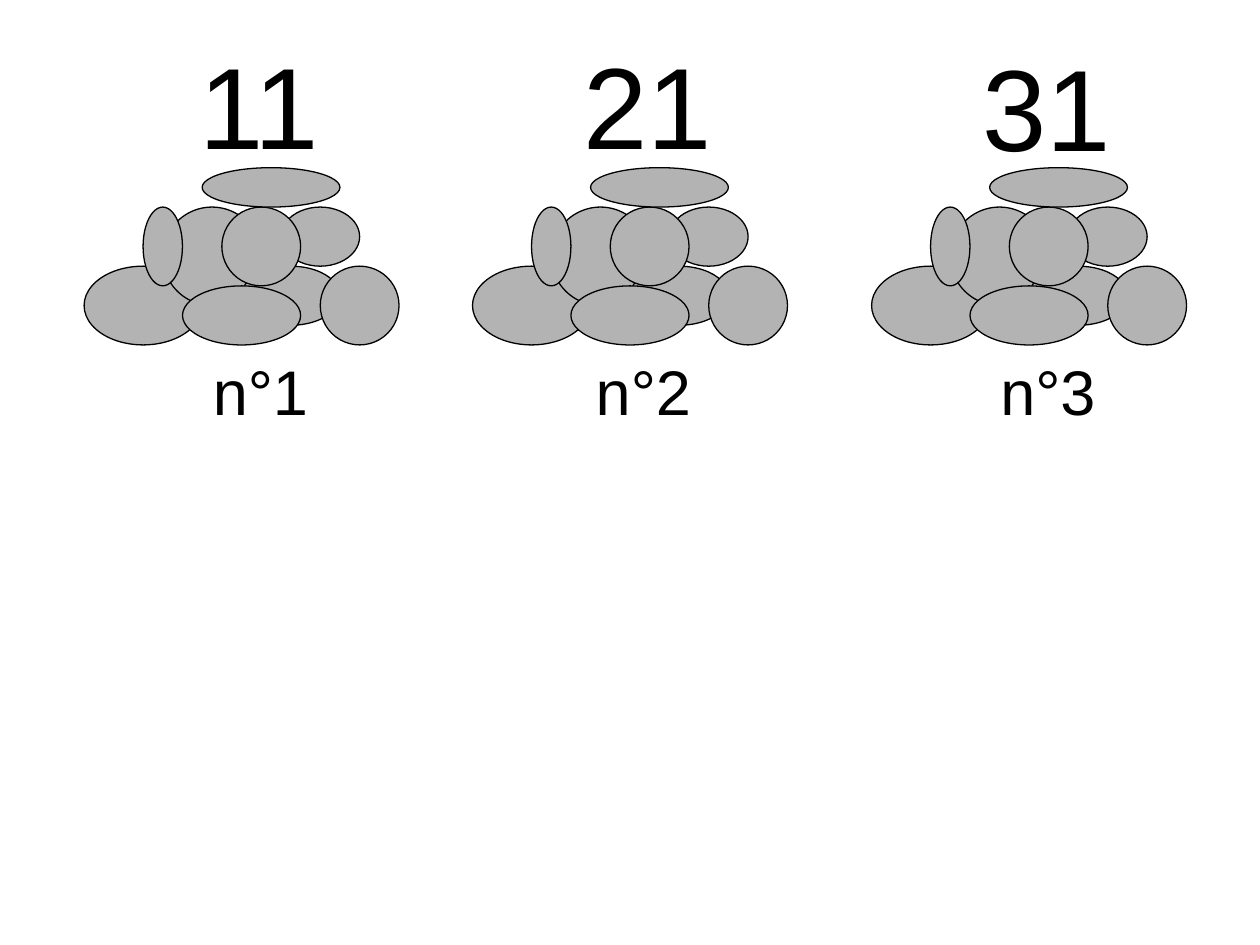
import pptx
import pptx.dml.color
import pptx.enum.shapes
import pptx.enum.text
import pptx.util

COLORS = {"stone": "B3B3B3", "ink": "000000"}
WIDTH, HEIGHT = pptx.util.Inches(10), pptx.util.Inches(7.5)
COLUMNS = 64
CELL = WIDTH / COLUMNS
PILE_ROW = 8.52
LABEL_ROW = 17.6

STONES = [
    (0, 5, 6, 4),
    (4, 2, 5, 5),
    (8, 5, 5, 3),
    (5, 6, 6, 3),
    (10, 2, 4, 3),
    (12, 5, 4, 4),
    (7, 2, 4, 4),
    (3, 2, 2, 4),
    (6, 0, 7, 2),
]

PILES = [
    (4.27, "11", 1.39, "n°1", 10.08),
    (24, "21", 1.39, "n°2", 29.53),
    (44.27, "31", 1.52, "n°3", 50.08),
]


def cells(*counts):
    return [round(count * CELL) for count in counts]


def color(name):
    return pptx.dml.color.RGBColor.from_string(COLORS[name])


def apply(target, values):
    for name, value in values.items():
        setattr(target, name, value)


def add_pile(slide, left):
    pile = slide.shapes.add_group_shape()
    for column, row, wide, high in STONES:
        stone = pile.shapes.add_shape(
            pptx.enum.shapes.MSO_SHAPE.OVAL,
            *cells(left + column, PILE_ROW + row, wide, high))
        stone.shadow.inherit = False
        stone.fill.solid()
        stone.fill.fore_color.rgb = color("stone")
        stone.line.color.rgb = color("ink")
        stone.line.width = pptx.util.Pt(0.75)


def add_caption(slide, words, column, row, wide, high, size):
    frame = slide.shapes.add_textbox(*cells(column, row, wide, high)).text_frame
    apply(frame, {
        "text": words,
        "word_wrap": False,
        "auto_size": pptx.enum.text.MSO_AUTO_SIZE.SHAPE_TO_FIT_TEXT,
        "vertical_anchor": pptx.enum.text.MSO_ANCHOR.MIDDLE,
    })
    paragraph = frame.paragraphs[0]
    paragraph.alignment = pptx.enum.text.PP_ALIGN.CENTER
    font = paragraph.runs[0].font
    apply(font, {"name": "Arial", "size": pptx.util.Pt(size)})
    font.color.rgb = color("ink")


def main():
    deck = pptx.Presentation()
    apply(deck, {"slide_width": WIDTH, "slide_height": HEIGHT})
    slide = deck.slides.add_slide(deck.slide_layouts[6])
    for left, count, count_row, label, label_column in PILES:
        add_pile(slide, left)
        add_caption(slide, count, left + 5, count_row, 7.8, 7.7, 66)
        add_caption(slide, label, label_column, LABEL_ROW, 6.3, 4.48, 36)
    deck.save("out.pptx")


if __name__ == "__main__":
    main()
